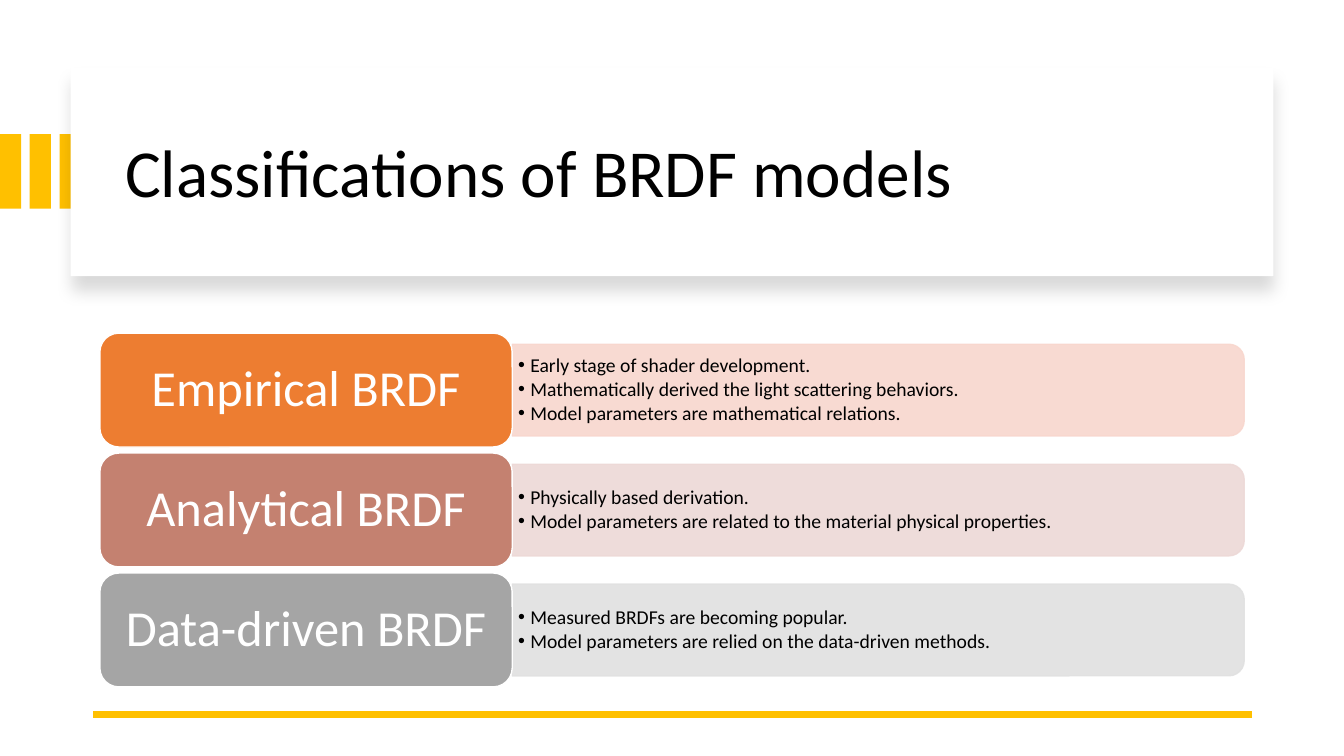
from dataclasses import dataclass

from lxml import etree
from pptx import Presentation
from pptx.dml.color import RGBColor
from pptx.enum.shapes import MSO_CONNECTOR, MSO_SHAPE
from pptx.enum.text import MSO_ANCHOR, MSO_AUTO_SIZE, PP_ALIGN
from pptx.oxml.ns import qn
from pptx.util import Inches, Pt

RECT = MSO_SHAPE.RECTANGLE
ROUNDED = MSO_SHAPE.ROUNDED_RECTANGLE
ROUND_TOP = MSO_SHAPE.ROUND_2_SAME_RECTANGLE
STRAIGHT = MSO_CONNECTOR.STRAIGHT
MIDDLE = MSO_ANCHOR.MIDDLE
NO_AUTOFIT = MSO_AUTO_SIZE.NONE
LEFT, CENTER = PP_ALIGN.LEFT, PP_ALIGN.CENTER


@dataclass(frozen=True)
class Theme:
    font: str = "Calibri"
    accent: str = "FFC000"
    white: str = "FFFFFF"
    black: str = "000000"
    title_size: float = 48
    label_size: float = 36
    bullet_size: float = 14


@dataclass(frozen=True)
class ModelRow:
    label: str
    color: str
    tint: str
    bullets: tuple[str, ...]


THEME = Theme()
ROWS = (
    ModelRow("Empirical BRDF", "ED7D31", "F8D7CE", (
        "Early stage of shader development.",
        "Mathematically derived the light scattering behaviors.",
        "Model parameters are mathematical relations.")),
    ModelRow("Analytical BRDF", "C48170", "EDD9D7", (
        "Physically based derivation.",
        "Model parameters are related to the material physical properties.")),
    ModelRow("Data-driven BRDF", "A5A5A5", "E1E1E1", (
        "Measured BRDFs are becoming popular.",
        "Model parameters are relied on the data-driven methods.")),
)
LABEL_LEFT, LABEL_WIDTH, LABEL_HEIGHT = 0.99, 4.09, 1.13
PANEL_LEFT, PANEL_WIDTH, PANEL_HEIGHT = 5.08, 7.26, 0.91
LIST_WIDTH, LIST_HEIGHT = 7.22, 0.82
FIRST_CENTER, ROW_PITCH = 3.87, 1.19


def place(sp, left: float, top: float, width: float, height: float) -> None:
    box = {"left": left, "top": top, "width": width, "height": height}
    for name, value in box.items():
        setattr(sp, name, Inches(value))


def add_box(slide, kind, box: tuple, fill: str, line: str | None = None):
    sp = slide.shapes.add_shape(kind, *map(Inches, box))
    sp.shadow.inherit = False
    sp.fill.solid()
    sp.fill.fore_color.rgb = RGBColor.from_string(fill)
    if line:
        sp.line.color.rgb = RGBColor.from_string(line)
        sp.line.width = Pt(1)
    else:
        sp.line.fill.background()
    return sp


def set_frame(tf, margin_x: float, margin_y: float) -> None:
    formats = {
        "word_wrap": True, "auto_size": NO_AUTOFIT, "vertical_anchor": MIDDLE,
        "margin_left": Inches(margin_x), "margin_right": Inches(margin_x),
        "margin_top": Inches(margin_y), "margin_bottom": Inches(margin_y),
    }
    for name, value in formats.items():
        setattr(tf, name, value)


def write(p, text: str, size: float, color: str, align, after: float = 0) -> None:
    p.text = text
    spacing = {"alignment": align, "line_spacing": 0.9,
               "space_before": Pt(0), "space_after": Pt(after)}
    for name, value in spacing.items():
        setattr(p, name, value)
    font = p.runs[0].font
    for name, value in {"name": THEME.font, "size": Pt(size), "bold": False}.items():
        setattr(font, name, value)
    font.color.rgb = RGBColor.from_string(color)


def add_bullet(p) -> None:
    pPr = p._p.get_or_add_pPr()
    pPr.set("marL", str(Inches(0.12)))
    pPr.set("indent", str(-Inches(0.12)))
    etree.SubElement(pPr, qn("a:buFont"), typeface="Arial")
    etree.SubElement(pPr, qn("a:buChar"), char="•")


def add_header(slide) -> None:
    for i in range(3):
        add_box(slide, RECT, (0.295 * i, 1.33, 0.21, 0.74), THEME.accent)
    card = add_box(slide, RECT, (0.7, 0.67, 11.93, 2.07), THEME.white)
    effects = card._element.spPr.find(qn("a:effectLst"))
    shadow = etree.SubElement(
        effects, qn("a:outerShdw"), blurRad=str(Pt(11)), dist=str(Pt(10)),
        dir="5400000", algn="t", rotWithShape="0")
    color = etree.SubElement(shadow, qn("a:srgbClr"), val=THEME.black)
    etree.SubElement(color, qn("a:alpha"), val="15000")

    title = slide.shapes.title
    slide.shapes._spTree.append(title._element)  # bring in front of the card
    place(title, 1.14, 0.89, 11.13, 1.7)
    set_frame(title.text_frame, 0.1, 0.05)
    write(title.text_frame.paragraphs[0], "Classifications of BRDF models",
          THEME.title_size, THEME.black, LEFT)


def add_rule(slide) -> None:
    rule = slide.shapes.add_connector(
        STRAIGHT, Inches(12.42), Inches(7.09), Inches(0.92), Inches(7.09))
    rule.line.color.rgb = RGBColor.from_string(THEME.accent)
    rule.line.width = Pt(4.5)
    etree.SubElement(rule._element.spPr, qn("a:effectLst"))


def add_row(slide, row: ModelRow, body, center: float) -> None:
    # Panel: a quarter turn puts the rounded corners on the right
    panel_center = PANEL_LEFT + PANEL_WIDTH / 2
    panel = add_box(slide, ROUND_TOP, (
        panel_center - PANEL_HEIGHT / 2, center - PANEL_WIDTH / 2,
        PANEL_HEIGHT, PANEL_WIDTH), row.tint, row.tint)
    panel.rotation = 90
    for color in panel._element.spPr.iter(qn("a:srgbClr")):
        etree.SubElement(color, qn("a:alpha"), val="90000")

    # Bullet list
    slide.shapes._spTree.append(body._element)
    place(body, PANEL_LEFT, center - LIST_HEIGHT / 2, LIST_WIDTH, LIST_HEIGHT)
    tf = body.text_frame
    set_frame(tf, 0.06, 0.03)
    for i, text in enumerate(row.bullets):
        p = tf.add_paragraph() if i else tf.paragraphs[0]
        add_bullet(p)
        write(p, text, THEME.bullet_size, THEME.black, LEFT, after=2.1)

    # Label
    label = add_box(slide, ROUNDED, (
        LABEL_LEFT, center - LABEL_HEIGHT / 2, LABEL_WIDTH, LABEL_HEIGHT),
        row.color, THEME.white)
    set_frame(label.text_frame, 0.2, 0.12)
    write(label.text_frame.paragraphs[0], row.label,
          THEME.label_size, THEME.white, CENTER)


def main() -> None:
    prs = Presentation()
    prs.slide_width, prs.slide_height = Inches(13.33), Inches(7.5)
    slide = prs.slides.add_slide(prs.slide_layouts.get_by_name("Comparison"))
    bodies = [sp for sp in slide.placeholders if sp.placeholder_format.idx > 0]

    add_header(slide)
    add_rule(slide)
    for i, (row, body) in enumerate(zip(ROWS, bodies)):
        add_row(slide, row, body, FIRST_CENTER + i * ROW_PITCH)

    # Remove the unused placeholders
    for sp in bodies[len(ROWS):]:
        slide.shapes._spTree.remove(sp._element)
    prs.save("out.pptx")


if __name__ == "__main__":
    main()
